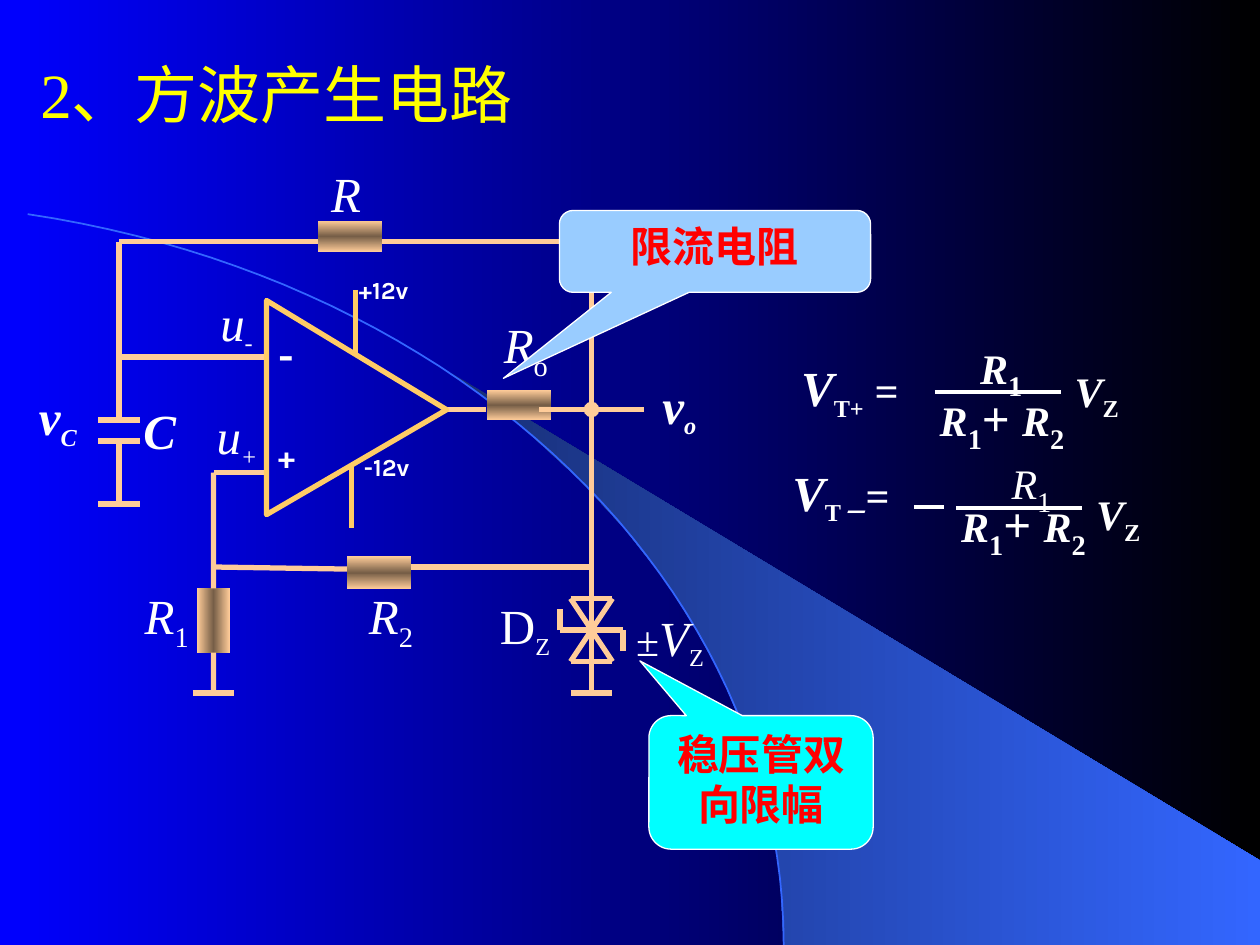
from copy import deepcopy
from typing import NamedTuple

from lxml import etree
from pptx import Presentation
from pptx.dml.color import RGBColor
from pptx.enum.shapes import MSO_CONNECTOR, MSO_SHAPE
from pptx.enum.text import MSO_ANCHOR, MSO_AUTO_SIZE, PP_ALIGN
from pptx.oxml.ns import qn
from pptx.util import Inches, Pt

STRAIGHT = MSO_CONNECTOR.STRAIGHT
RECTANGLE, TRIANGLE = MSO_SHAPE.RECTANGLE, MSO_SHAPE.ISOSCELES_TRIANGLE
CALLOUT = MSO_SHAPE.ROUNDED_RECTANGULAR_CALLOUT
GROW, TOP, CENTER = MSO_AUTO_SIZE.SHAPE_TO_FIT_TEXT, MSO_ANCHOR.TOP, PP_ALIGN.CENTER

COLORS = {
    "blue": "0000FF", "black": "000000", "navy": "182F76", "royal": "3366FF",
    "white": "FFFFFF", "yellow": "FFFF00", "red": "FF0000", "wire": "FFCC99",
    "shade": "765E47", "gold": "FFCC66", "sky": "99CCFF", "cyan": "00FFFF",
}
SERIF, SANS, HAN = "Times New Roman", "Karla", "Noto Sans CJK SC"

# The page is 100 columns by 75 rows; circuit wires run on a finer grid
WIDTH, HEIGHT = Inches(10), Inches(7.5)
COLUMN, ROW = WIDTH / 100, HEIGHT / 75
WIRE_LEFT, WIRE_TOP, WIRE_STEP = 7.78, 19.17, 10 / 12
FINE = 100  # outline units per column


class Span(NamedTuple):
    text: str
    size: float
    style: str = ""  # b bold, i italic, s subscript
    font: str = ""


class Label(NamedTuple):
    left: float
    top: float
    width: float
    height: float
    spans: list[Span]
    font: str = SERIF


class Wire(NamedTuple):
    x1: float
    y1: float
    x2: float
    y2: float


class Callout(NamedTuple):
    left: float
    top: float
    width: float
    height: float
    text: str
    fill: str
    pointer: tuple[float, float]


deck = Presentation()
deck.slide_width, deck.slide_height = WIDTH, HEIGHT
page = deck.slides.add_slide(deck.slide_layouts[6])


def color(name: str) -> RGBColor:
    return RGBColor.from_string(COLORS[name])


def place(left: float, top: float, width: float, height: float) -> list[int]:
    return [round(left * COLUMN), round(top * ROW), round(width * COLUMN), round(height * ROW)]


def paint_gradient(fill, element, names: list[str]) -> None:
    """Spread the named colours evenly from left to right."""
    fill.gradient()
    fill.gradient_angle = 0
    stop_list = next(element.iter(qn("a:gsLst")))
    while len(stop_list) < len(names):
        stop_list.append(deepcopy(stop_list[-1]))
    for index, (stop, name) in enumerate(zip(fill.gradient_stops, names)):
        stop.position = index / (len(names) - 1)
        stop.color.rgb = color(name)


def write(frame, spans: list[Span], font: str, ink: str):
    para = frame.paragraphs[0]
    para.font.name = font
    para.font.color.rgb = color(ink)
    for span in spans:
        run = para.add_run()
        run.text = span.text
        run.font.size = Pt(span.size)
        run.font.bold, run.font.italic = "b" in span.style, "i" in span.style
        if span.font:
            run.font.name = span.font
        props = run.font._element
        if "s" in span.style:
            props.set("baseline", "-25000")
        if any(ord(letter) > 0x2FFF for letter in span.text):
            etree.SubElement(props, qn("a:ea")).set("typeface", HAN)
    return para


def add_label(label: Label, ink: str = "white", left_inset: float = 0.1, top_inset: float = 0.05) -> None:
    """Leave no right inset, so that short labels stay on one line."""
    frame = page.shapes.add_textbox(*place(*label[:4])).text_frame
    frame.word_wrap, frame.auto_size = True, GROW
    frame.margin_left, frame.margin_right = Inches(left_inset), 0
    frame.margin_top = frame.margin_bottom = Inches(top_inset)
    write(frame, label.spans, label.font, ink)


def add_line(wire: Wire, ink: str, weight: float):
    line = page.shapes.add_connector(
        STRAIGHT, round(wire.x1 * COLUMN), round(wire.y1 * ROW),
        round(wire.x2 * COLUMN), round(wire.y2 * ROW))
    line.line.color.rgb, line.line.width = color(ink), Pt(weight)
    etree.SubElement(line._element.spPr, qn("a:effectLst"))
    return line


def add_wire(wire: Wire):
    xs = [WIRE_LEFT + x * WIRE_STEP for x in (wire.x1, wire.x2)]
    ys = [WIRE_TOP + y * WIRE_STEP for y in (wire.y1, wire.y2)]
    return add_line(Wire(xs[0], ys[0], xs[1], ys[1]), "wire", 3)


def add_resistor(left: float, top: float, width: float, rotation: int = 270):
    body = page.shapes.add_shape(RECTANGLE, *place(left, top, width, 5.1))
    body.rotation, body.shadow.inherit = rotation, False
    paint_gradient(body.fill, body._element, ["wire", "shade", "wire"])
    body.line.fill.background()
    return body


def add_outline(points: list[tuple[float, float]], close: bool):
    fine_points = [(x * FINE, y * FINE) for x, y in points]
    builder = page.shapes.build_freeform(*fine_points[0], scale=COLUMN / FINE)
    builder.add_line_segments(fine_points[1:], close=close)
    shape = builder.convert_to_shape()
    shape.shadow.inherit = False
    return shape


def add_callout(note: Callout) -> None:
    bubble = page.shapes.add_shape(CALLOUT, *place(*note[:4]))
    bubble.adjustments[0], bubble.adjustments[1] = note.pointer
    bubble.shadow.inherit = False
    bubble.fill.solid()
    bubble.fill.fore_color.rgb = color(note.fill)
    bubble.line.color.rgb, bubble.line.width = color("white"), Pt(0.75)
    bubble.text_frame.word_wrap, bubble.text_frame.vertical_anchor = True, TOP
    write(bubble.text_frame, [Span(note.text, 24, "b")], SERIF, "red").alignment = CENTER


# Backdrop: gradient, light beam and arc
paint_gradient(page.background.fill, page._element, ["blue", "black"])
beam = add_outline([
    (62.2, 75), (100, 75), (100, 68.3), (35.8, 29.6), (38.6, 31.7), (40.9, 33.4),
    (43.4, 35.7), (45.9, 38), (49.6, 42), (52.9, 46.2), (55.2, 49.9), (57.3, 53.7),
    (58.9, 57.6), (60.1, 61), (60.9, 64), (61.7, 67.7), (62, 70.9)], True)
paint_gradient(beam.fill, beam._element, ["navy", "royal"])
beam.line.fill.background()
BEZIER = [(2.2, 17), (37, 22.2), (62.2, 46.6), (62.2, 75)]
STEPS = 48
arc_points = []
for t in (step / STEPS for step in range(STEPS + 1)):
    weights = ((1 - t) ** 3, 3 * t * (1 - t) ** 2, 3 * t * t * (1 - t), t ** 3)
    arc_points.append(tuple(sum(w * p[axis] for w, p in zip(weights, BEZIER)) for axis in (0, 1)))
arc = add_outline(arc_points, False)
arc.fill.background()
arc.line.color.rgb, arc.line.width = color("royal"), Pt(1)

# Title
add_label(Label(3.2, 4.4, 55.7, 6, [Span("2、", 36), Span("方波产生电路", 36, font=HAN)]), "yellow", 0, 0)

# Threshold formulas
DIVIDER = [Span("R", 24, "bi"), Span("1", 28, "bs"), Span("+ ", 28, "b"),
           Span("R", 24, "bi"), Span("2", 28, "bs")]
ZENER = [Span("V", 24, "bi"), Span("Z", 24, "bs")]
for formula in [
    Label(62.6, 27.9, 32.5, 6.1, [Span("V", 28, "bi"), Span("T+", 24, "bs"), Span(" =", 24, "bi")]),
    Label(76.8, 26.1, 5.3, 6.3, DIVIDER[:2]),
    Label(73.6, 30.3, 11.9, 6.3, DIVIDER),
    Label(84.3, 28.5, 5.5, 5.6, ZENER),
    Label(86, 38.3, 5.5, 5.6, ZENER),
    Label(79.3, 35.3, 5.1, 6.3, [Span("R", 24, "i"), Span("1", 28, "s")]),
    Label(75.3, 38.7, 11.9, 6.3, DIVIDER),
    Label(61.9, 36.2, 11.3, 6.1, [Span("V", 28, "bi"), Span("T", 24, "bs"),
                                  Span("－", 24, "bis"), Span("=", 24, "b")]),
]:
    add_label(formula)
for bar in [Wire(74.2, 31.1, 84.2, 31.1), Wire(75.9, 40.3, 85.9, 40.3), Wire(74.9, 40.25, 72.5, 40.25)]:
    add_line(bar, "white", 2.25)

# Circuit: Ro lies under the wires, the other resistors over them
add_resistor(40, 29.6, 2.4)
for wire in [
    Wire(0, 17, 4, 17), Wire(0, 19, 4, 19), Wire(0, 25, 4, 25), Wire(2, 25, 2, 19),  # capacitor
    Wire(2, 11, 16, 11), Wire(2, 17, 2, 0), Wire(2, 0, 21, 0), Wire(27, 0, 47, 0),
    Wire(33, 16, 37, 16), Wire(42, 16, 47, 16), Wire(47, 17, 47, 0), Wire(47, 43, 47, 16),
    Wire(11, 31, 26.5, 31.24), Wire(27, 31, 47, 31), Wire(11, 22, 16, 22),
    Wire(9, 43, 13, 43), Wire(45, 43, 49, 43),  # grounds
    Wire(45, 34, 49, 34), Wire(45, 40, 49, 40), Wire(44, 37, 50, 37),  # zener pair
    Wire(45, 34, 49, 40), Wire(49, 34, 45, 40), Wire(44, 37, 44, 35), Wire(50, 39, 50, 37),
]:
    add_wire(wire)
add_resistor(26.5, 16.2, 2.5)
add_resistor(28.8, 42.9, 2.6)
divider_leg = add_resistor(15.65, 46.7, 2.6, 0)
add_wire(Wire(11, 33, 11, 22)).begin_connect(divider_leg, 0)
add_wire(Wire(11, 43, 11, 39)).end_connect(divider_leg, 2)
output = add_wire(Wire(47, 16, 52, 16))
etree.SubElement(output.line._get_or_add_ln(), qn("a:headEnd")).set("type", "oval")

# Operational amplifier and its supply pins
amplifier = page.shapes.add_shape(TRIANGLE, *place(19.8, 25.2, 17, 14.3))
amplifier.rotation, amplifier.adjustments[0] = 90, 0.51
amplifier.shadow.inherit = False
amplifier.fill.background()
amplifier.line.color.rgb, amplifier.line.width = color("gold"), Pt(3)
for pin in [Wire(28.2, 23, 28.2, 28.1), Wire(27.9, 36.8, 27.9, 41.9)]:
    add_line(pin, "gold", 3)

# Circuit labels
for label in [
    Label(25.3, 12.5, 6.7, 5.7, [Span("R", 28, "i")]),
    Label(39, 24.5, 8.9, 6.3, [Span("R", 28, "i"), Span("o", 28, "s")]),
    Label(38.7, 46.8, 6, 6.1, [Span("D", 28), Span("Z", 24, "s")]),
    Label(28.3, 46, 5.5, 6.3, [Span("R", 28, "i"), Span("2", 28, "s")]),
    Label(10.5, 46, 5.5, 6.3, [Span("R", 28, "i"), Span("1", 28, "s")]),
    Label(2.1, 30.2, 5, 6.1, [Span("v", 28, "bi"), Span("C", 24, "bis")]),
    Label(51.6, 29.3, 4.7, 6.1, [Span("v", 28, "bi"), Span("o", 24, "bis")]),
    Label(16.2, 31.7, 5.2, 6.1, [Span("u", 28, "i"), Span("+", 24, "is")]),
    Label(16.5, 22.7, 4.6, 6.1, [Span("u", 28, "i"), Span("-", 24, "is")]),
    Label(49.5, 47.7, 7.4, 6.1, [Span("±", 24), Span("V", 28, "i"), Span("Z", 24, "s")]),
    Label(10.4, 31.3, 4.6, 5.7, [Span("C", 28, "bi")]),
    Label(21.1, 34.2, 5.8, 4, [Span("+", 18, "b")], SANS),
    Label(21.1, 25.7, 3.8, 5, [Span("-", 24, "b")], SANS),
    Label(27.5, 21.3, 12.6, 3.4, [Span("+12v", 14, "b")], SANS),
    Label(27.9, 35.4, 6.6, 3.4, [Span("-12v", 14, "b")], SANS),
]:
    add_label(label)

# Notes on the current limiter and the clamp
for note in [
    Callout(44.4, 16.7, 24.7, 6.5, "限流电阻", "sky", (-0.68, 1.55)),
    Callout(51.5, 56.8, 17.8, 10.6, "稳压管双向限幅", "cyan", (-0.54, -0.91)),
]:
    add_callout(note)

deck.save("out.pptx")
